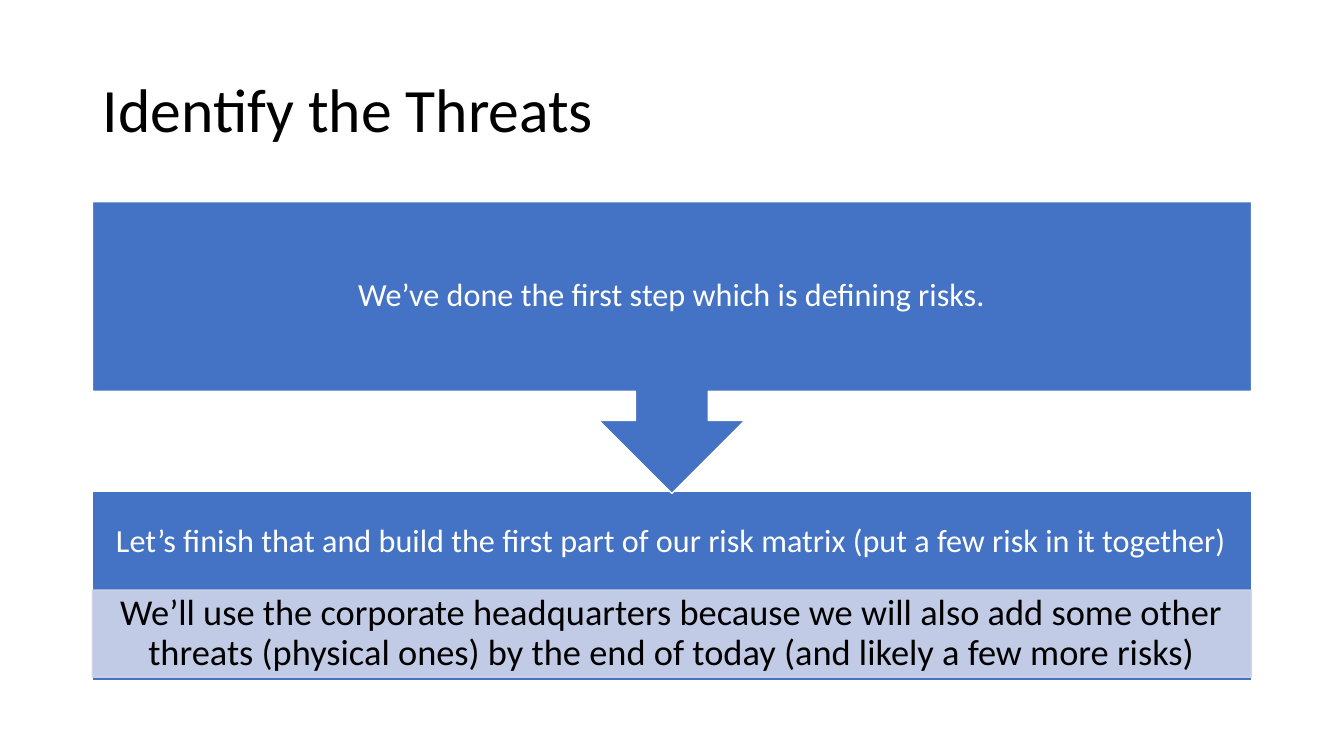
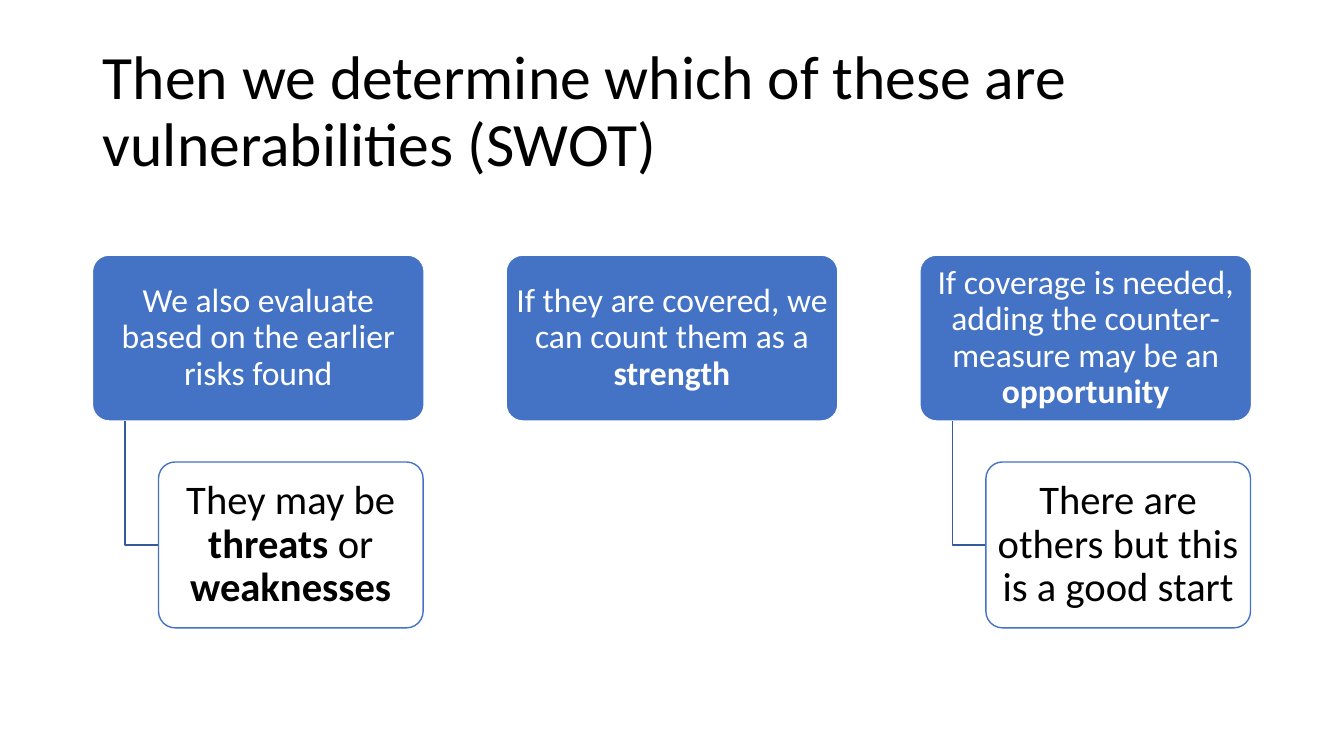
from lxml import etree
from pptx import Presentation
from pptx.dml.color import RGBColor
from pptx.enum.shapes import MSO_SHAPE as Kind
from pptx.enum.text import MSO_ANCHOR as Anchor, PP_ALIGN as Align
from pptx.oxml.ns import qn
from pptx.util import Pt

PX = 9525  # EMU per px, 96 px to the inch
BLUE = RGBColor(0x44, 0x72, 0xC4)
DARK = RGBColor(0x36, 0x5B, 0x9D)
PALE = RGBColor(0xCF, 0xD5, 0xEA)
WHITE = RGBColor(0xFF, 0xFF, 0xFF)
BLACK = RGBColor(0x00, 0x00, 0x00)
FONT = "Calibri"
LEFT, WIDTH = 88, 1104


def fade(shape):
    """Make the solid fill and line of a shape 90% opaque."""
    props = shape.element.spPr
    for color in props.iter(qn("a:srgbClr")):
        etree.SubElement(color, qn("a:alpha")).set("val", "90000")


class Deck:
    def __init__(self):
        self.file = Presentation()
        self.file.slide_width, self.file.slide_height = 1280 * PX, 720 * PX
        self.slide = None

    def page(self, title):
        self.slide = self.file.slides.add_slide(self.file.slide_layouts[6])
        box = self.slide.shapes.add_textbox(LEFT * PX, 38 * PX, WIDTH * PX, 139 * PX)
        self.label(box.text_frame, title, 44, BLACK, Align.LEFT, (10, 5, 10, 5))

    def label(self, frame, text, size, color, align, pad):
        """Fill a frame with text; words between asterisks are bold."""
        frame.word_wrap = True
        frame.vertical_anchor = Anchor.MIDDLE
        (frame.margin_left, frame.margin_top,
         frame.margin_right, frame.margin_bottom) = (n * PX for n in pad)
        para = frame.paragraphs[0]
        para.alignment, para.line_spacing = align, 0.9
        for i, part in enumerate(text.split("*")):
            if part:
                run = para.add_run()
                run.text = part
                font = run.font
                font.name, font.size, font.bold = FONT, Pt(size), i % 2 == 1
                font.color.rgb = color

    def box(self, kind, area, text, size, pad, fill=BLUE, line=WHITE, ink=WHITE):
        shape = self.slide.shapes.add_shape(kind, *(n * PX for n in area))
        shape.shadow.inherit = False
        shape.fill.solid()
        shape.fill.fore_color.rgb = fill
        shape.line.color.rgb = line
        shape.line.width = Pt(1)
        if kind == Kind.ROUNDED_RECTANGLE:
            shape.adjustments[0] = 0.1
        self.label(shape.text_frame, text, size, ink, Align.CENTER, pad)
        return shape

    def link(self, *points):
        """Draw an open line through the points."""
        pen = self.slide.shapes.build_freeform(*points[0], scale=PX)
        pen.add_line_segments(points[1:], close=False)
        shape = pen.convert_to_shape()
        shape.shadow.inherit = False
        shape.fill.background()
        shape.line.color.rgb = DARK
        shape.line.width = Pt(1)


def steps(deck):
    deck.page("Identify the Threats")
    # Second step, with its detail band in the lower part
    top, tall, band = 468, 180, 83
    deck.box(Kind.RECTANGLE, (LEFT, top, WIDTH, tall),
             "Let’s finish that and build the first part of our risk matrix "
             "(put a few risk in it together)", 23, (17, 17, 17, 17 + band))
    note = deck.box(Kind.RECTANGLE, (LEFT, 562, WIDTH, band),
                    "We’ll use the corporate headquarters because we will also add "
                    "some other threats (physical ones) by the end of today "
                    "(and likely a few more risks)",
                    26, (19, 4, 19, 4), PALE, PALE, BLACK)
    fade(note)
    # First step, pointing down to the second
    deck.box(Kind.DOWN_ARROW_CALLOUT, (LEFT, 192, WIDTH, 278),
             "We’ve done the first step which is defining risks.",
             23, (17, 17, 17, 17))


def swot(deck):
    deck.page("Then we determine which of these are vulnerabilities (SWOT)")
    wide, tall, top = 316, 158, 243
    step = (WIDTH - wide) // 2
    low = top + tall * 5 // 4
    items = [
        ("We also evaluate based on the earlier risks found",
         "They may be *threats* or *weaknesses*"),
        ("If they are covered, we can count them as a *strength*", None),
        ("If coverage is needed, adding the counter-measure may be an *opportunity*",
         "There are others but this is a good start"),
    ]
    for i, (head, sub) in enumerate(items):
        x = LEFT + i * step
        deck.box(Kind.ROUNDED_RECTANGLE, (x, top, wide, tall), head, 24, (5, 3, 5, 3))
        if sub:
            # Child box, set in by a fifth and joined to its parent
            stem, edge, mid = x + wide // 10, x + wide // 5, low + tall // 2
            deck.link((stem, top + tall), (stem, mid), (edge, mid))
            child = deck.box(Kind.ROUNDED_RECTANGLE,
                             (edge, low, wide * 4 // 5, tall), sub, 29,
                             (6, 4, 6, 4), WHITE, BLUE, BLACK)
            # The white fill is slightly clear, the outline is not
            color = child.element.spPr.find(qn("a:solidFill"))[0]
            etree.SubElement(color, qn("a:alpha")).set("val", "90000")


def main():
    deck = Deck()
    steps(deck)
    swot(deck)
    deck.file.save("out.pptx")


if __name__ == "__main__":
    main()
